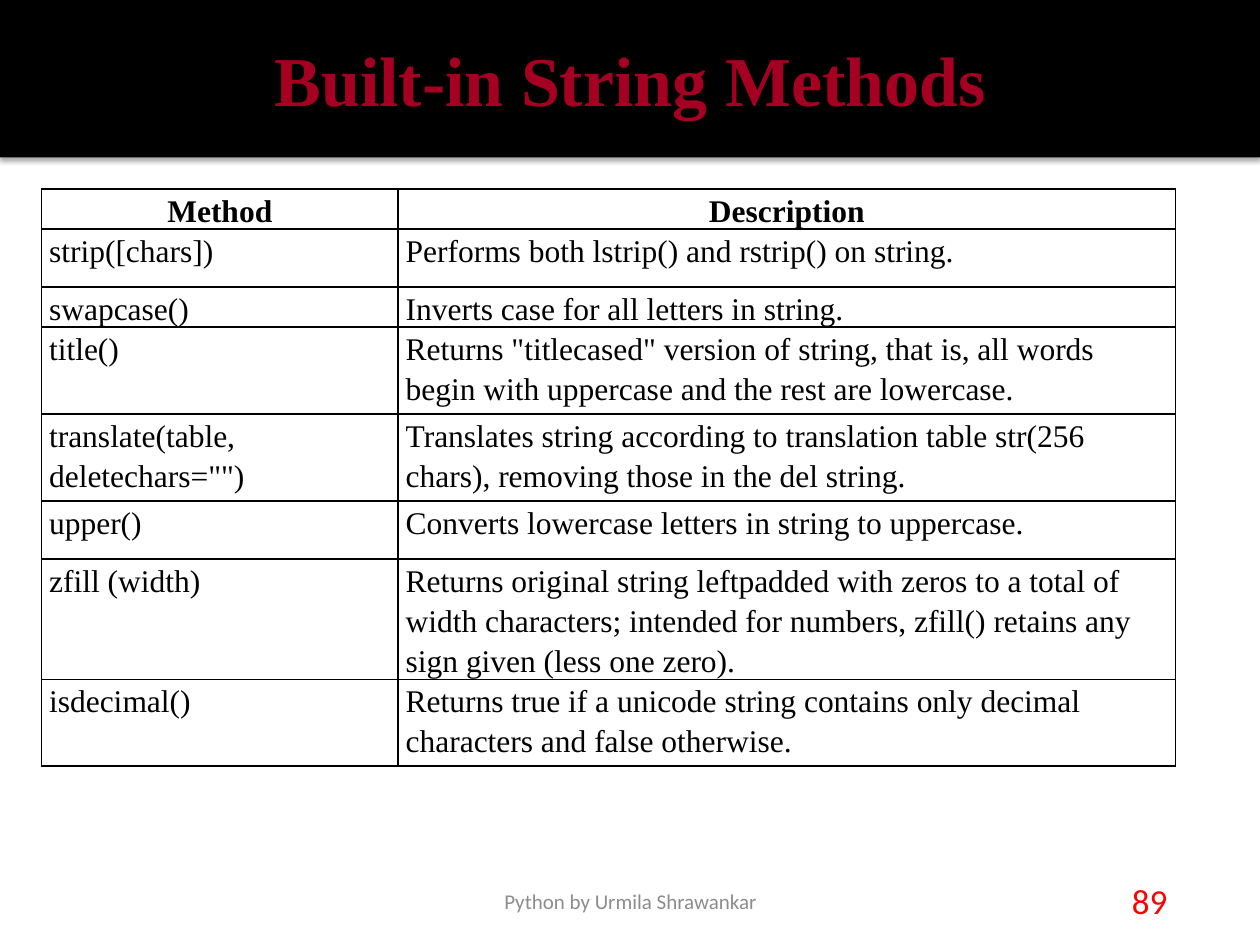
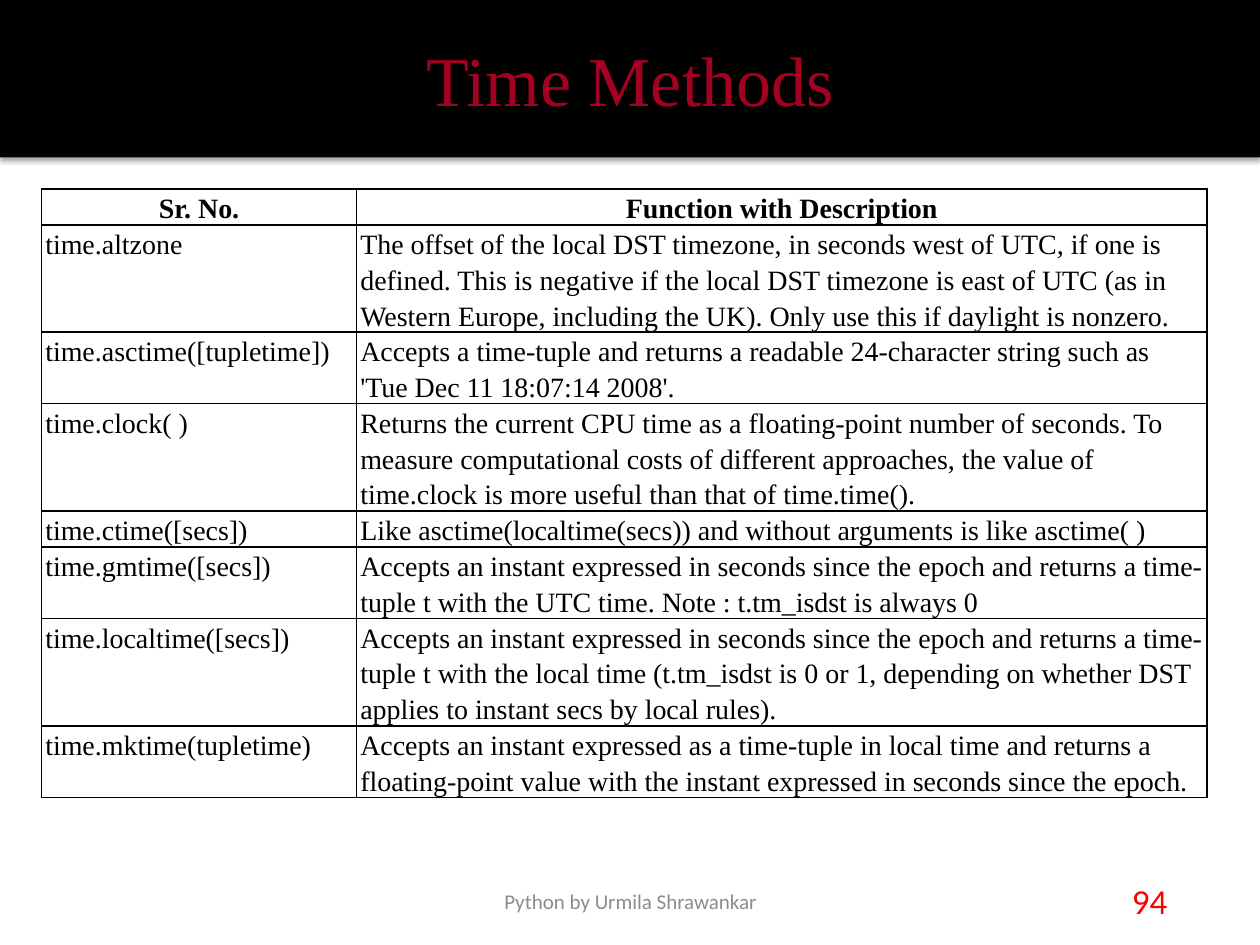
"""Build two Python reference slides: string methods and time methods."""
import pptx
import pptx.dml.color
import pptx.enum.text
import pptx.oxml
import pptx.oxml.ns
import pptx.util

COLOURS = {
    "band": "000000",
    "title": "A50021",
    "ink": "000000",
    "number": "FF0000",
    "footer": "8C8C8C",
}
SERIF, SANS = "Times New Roman", "Calibri"
NS = pptx.oxml.ns.nsdecls("a")
CENTRE = pptx.enum.text.PP_ALIGN.CENTER
MIDDLE = pptx.enum.text.MSO_ANCHOR.MIDDLE
Inches = pptx.util.Inches

SHADOW = (
    f'<a:effectLst {NS}><a:outerShdw blurRad="39370" dist="22860" dir="5400000" rotWithShape="0">'
    '<a:srgbClr val="000000"><a:alpha val="35000"/></a:srgbClr></a:outerShdw></a:effectLst>'
)

TOPICS = [
    {
        "title": "Built-in String Methods", "bold": True, "number": "89",
        "columns": (2.83, 6.17), "size": 18, "inset": 0.06, "line": 0.23,
        "rows": [
            (1, "Method", "Description"),
            (2, "strip([chars])", "Performs both lstrip() and rstrip() on string."),
            (1, "swapcase()", "Inverts case for all letters in string."),
            (3, "title()", 'Returns "titlecased" version of string, that is, all words begin '
                'with uppercase and the rest are lowercase.'),
            (3, 'translate(table, deletechars="")', "Translates string according to translation "
                "table str(256 chars), removing those in the del string."),
            (2, "upper()", "Converts lowercase letters in string to uppercase."),
            (4, "zfill (width)", "Returns original string leftpadded with zeros to a total of width "
                "characters; intended for numbers, zfill() retains any sign given (less one zero)."),
            (3, "isdecimal()", "Returns true if a unicode string contains only decimal characters "
                "and false otherwise."),
        ],
    },
    {
        "title": "Time Methods", "bold": False, "number": "94",
        "columns": (2.5, 6.75), "size": 16, "inset": 0.03, "line": 0.28,
        "rows": [
            (1, "Sr. No.", "Function with Description"),
            (3, "time.altzone", "The offset of the local DST timezone, in seconds west of UTC, if one "
                "is defined. This is negative if the local DST timezone is east of UTC (as in Western "
                "Europe, including the UK). Only use this if daylight is nonzero."),
            (2, "time.asctime([tupletime])", "Accepts a time-tuple and returns a readable 24-character "
                "string such as 'Tue Dec 11 18:07:14 2008'."),
            (3, "time.clock( )", "Returns the current CPU time as a floating-point number of seconds. "
                "To measure computational costs of different approaches, the value of time.clock is "
                "more useful than that of time.time()."),
            (1, "time.ctime([secs])",
                "Like asctime(localtime(secs)) and without arguments is like asctime( )"),
            (2, "time.gmtime([secs])", "Accepts an instant expressed in seconds since the epoch and "
                "returns a time-tuple t with the UTC time. Note : t.tm_isdst is always 0"),
            (3, "time.localtime([secs])", "Accepts an instant expressed in seconds since the epoch and "
                "returns a time-tuple t with the local time (t.tm_isdst is 0 or 1, depending on "
                "whether DST applies to instant secs by local rules)."),
            (2, "time.mktime(tupletime)", "Accepts an instant expressed as a time-tuple in local time "
                "and returns a floating-point value with the instant expressed in seconds since the "
                "epoch."),
        ],
    },
]


def write(frame, text, face, size, colour, bold=False, align=None):
    """Fill a text frame with one formatted paragraph."""
    frame.text = text
    frame.word_wrap = True
    paragraph = frame.paragraphs[0]
    paragraph.alignment = align
    font = paragraph.runs[0].font
    font.name, font.size, font.bold = face, pptx.util.Pt(size), bold
    font.color.rgb = pptx.dml.color.RGBColor.from_string(COLOURS[colour])
    return paragraph


def outline(cell):
    """Give a table cell a thin border on all sides and no fill."""
    properties = cell._tc.get_or_add_tcPr()
    for side in "LRTB":
        properties.append(pptx.oxml.parse_xml(
            f'<a:ln{side} {NS} w="12700"><a:solidFill><a:srgbClr val="{COLOURS["ink"]}"/>'
            f'</a:solidFill></a:ln{side}>'))
    cell.fill.background()


deck = pptx.Presentation()
deck.slide_width, deck.slide_height = Inches(10), Inches(7.5)
title_only = deck.slide_layouts[5]

for topic in TOPICS:
    slide = deck.slides.add_slide(title_only)

    heading = slide.shapes.title
    heading.left, heading.top = 0, 0
    heading.width, heading.height = deck.slide_width, deck.slide_height // 6
    heading.fill.solid()
    heading.fill.fore_color.rgb = pptx.dml.color.RGBColor.from_string(COLOURS["band"])
    heading._element.spPr.append(pptx.oxml.parse_xml(SHADOW))
    write(heading.text_frame, topic["title"], SERIF, 40, "title", topic["bold"], CENTRE)
    heading.text_frame.vertical_anchor = MIDDLE
    heading.text_frame.auto_size = pptx.enum.text.MSO_AUTO_SIZE.NONE

    rows, columns = topic["rows"], topic["columns"]
    methods = slide.shapes.add_table(
        len(rows), len(columns), Inches(0.33), deck.slide_height // 5,
        Inches(sum(columns)), Inches(topic["line"] * sum(row[0] for row in rows))).table
    methods.first_row = methods.horz_banding = False
    for column, width in zip(methods.columns, columns):
        column.width = Inches(width)
    for index, (lines, *texts) in enumerate(rows):
        methods.rows[index].height = Inches(lines * topic["line"])
        header = index == 0
        for cell, text in zip(methods.rows[index].cells, texts):
            outline(cell)
            cell.margin_left = cell.margin_right = Inches(topic["inset"])
            cell.margin_top = cell.margin_bottom = 0
            entry = write(cell.text_frame, text, SERIF, topic["size"], "ink", header,
                          CENTRE if header else None)
            entry.line_spacing = 1.15

    for left, width, text, size, colour in (
        (8.75, 0.75, topic["number"], 20, "number"),
        (3.42, 3.17, "Python by Urmila Shrawankar", 12, "footer"),
    ):
        note = slide.shapes.add_textbox(Inches(left), Inches(6.95), Inches(width), Inches(0.4))
        write(note.text_frame, text, SANS, size, colour, align=CENTRE)
        note.text_frame.vertical_anchor = MIDDLE

deck.save("out.pptx")
